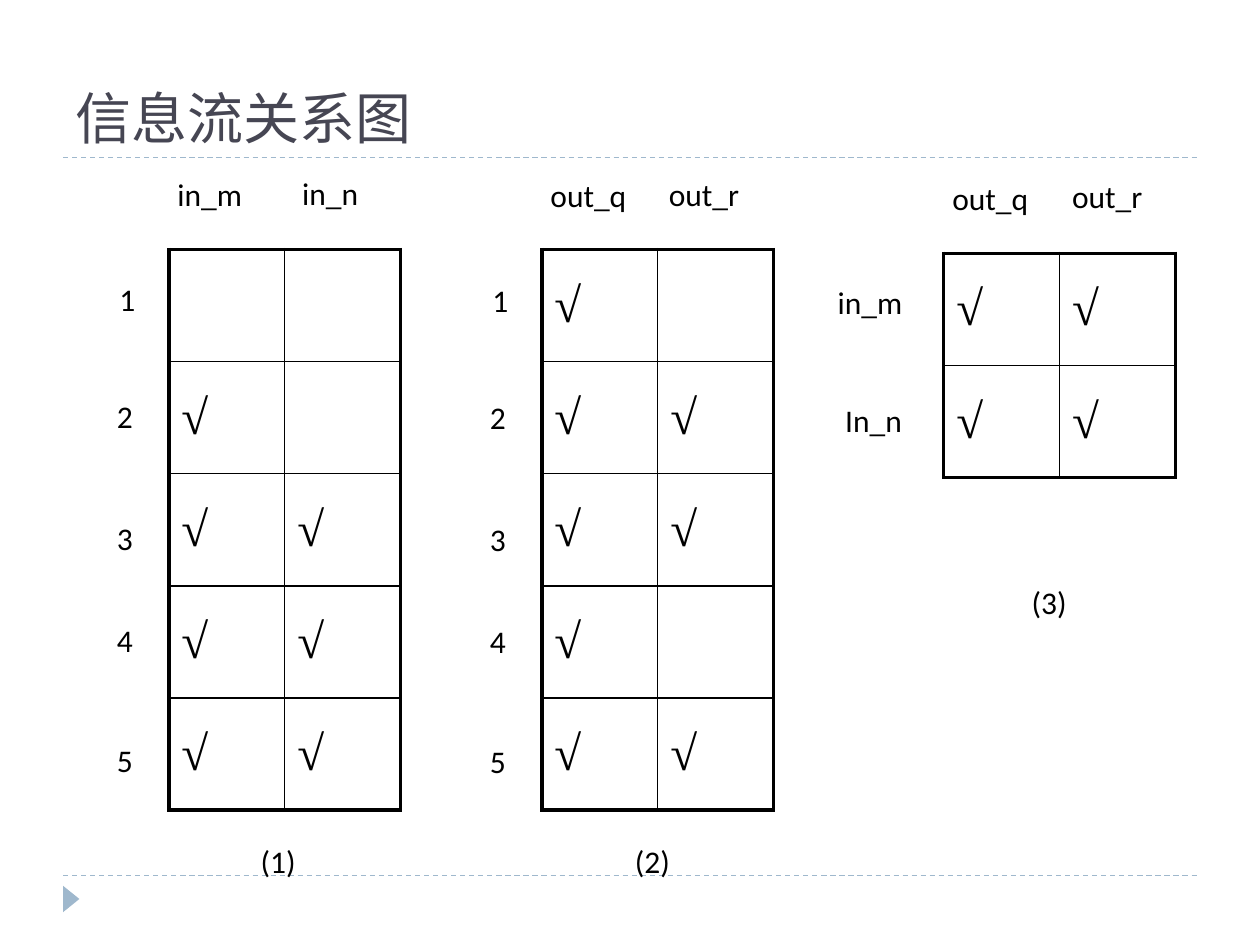
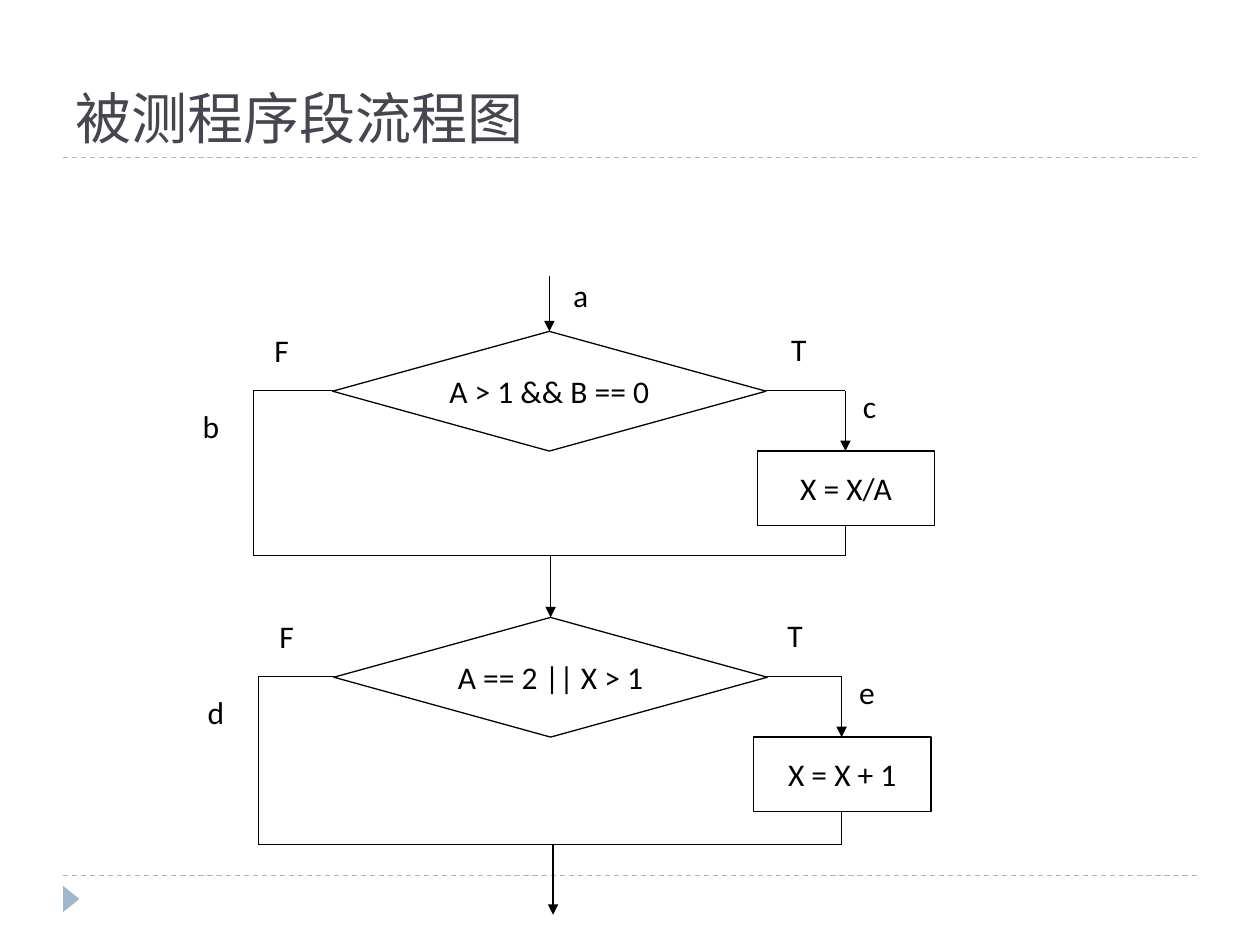
from lxml import etree
from pptx import Presentation
from pptx import util as u
from pptx.dml.color import RGBColor
from pptx.enum import dml, shapes, text
from pptx.oxml import ns

PX = 9144  # 100 px to the inch
COLORS = {"ink": "000000", "title": "464653", "accent": "9FB8CD"}
COLORS = {name: RGBColor.from_string(value) for name, value in COLORS.items()}
BODY_FONT, CJK_FONT = "Calibri", "Noto Sans CJK SC"


def add_label(s, label, x, y, w):
    tf = s.shapes.add_textbox(x * PX, y * PX, w * PX, 50 * PX).text_frame
    tf.word_wrap = True
    tf.text = label
    f = tf.paragraphs[0].runs[0].font
    f.name, f.size, f.color.rgb = BODY_FONT, u.Pt(18), COLORS["ink"]


def add_line(s, x1, y1, x2, y2, color="ink", arrow=False):
    c = s.shapes.add_connector(shapes.MSO_CONNECTOR.STRAIGHT,
                               x1 * PX, y1 * PX, x2 * PX, y2 * PX)
    c.line.color.rgb, c.line.width = COLORS[color], u.Pt(0.75)
    sp_pr = c.element.spPr
    if arrow:
        etree.SubElement(sp_pr.find(ns.qn("a:ln")), ns.qn("a:tailEnd"), type="triangle")
    etree.SubElement(sp_pr, ns.qn("a:effectLst"))
    return c


prs = Presentation()
prs.slide_width, prs.slide_height = 1000 * PX, 750 * PX

# Title position, shared through the layout
layout = prs.slide_layouts[5]
title = layout.placeholders[0]
title.left, title.top, title.width, title.height = 50 * PX, 17 * PX, 900 * PX, 108 * PX
title.text_frame.vertical_anchor = text.MSO_ANCHOR.BOTTOM

# Both slides: rules, corner marker and title
for heading, font in [("信息流关系图", "TeX Gyre Bonum"), ("被测程序段流程图", CJK_FONT)]:
    s = prs.slides.add_slide(layout)
    for y in (695, 125):
        add_line(s, 50, y, 950, y, "accent").line.dash_style = dml.MSO_LINE.DASH
    marker = s.shapes.add_shape(shapes.MSO_SHAPE.ISOSCELES_TRIANGLE,
                                46 * PX, 707 * PX, 21 * PX, 13 * PX)
    marker.rotation = 90
    marker.shadow.inherit = False
    marker.fill.solid()
    marker.fill.fore_color.rgb = COLORS["accent"]
    marker.line.fill.background()
    s.shapes.title.text_frame.text = heading
    p = s.shapes.title.text_frame.paragraphs[0]
    p.alignment = text.PP_ALIGN.LEFT
    r = p.runs[0]
    r.font.name, r.font.size, r.font.color.rgb = font, u.Pt(32), COLORS["title"]
    etree.SubElement(r._r.get_or_add_rPr(), ns.qn("a:ea"), typeface=CJK_FONT)

relations, flowchart = prs.slides

# Slide 1: relation tables, one string of marks per row
COL_W, ROW_H = 92, 89
tables = [
    (134, 198, ["  ", "√ ", "√√", "√√", "√√"]),
    (430, 198, ["√ ", "√√", "√√", "√ ", "√√"]),
    (749, 201, ["√√", "√√"]),
]
for x, y, marks in tables:
    rows = len(marks)
    table = relations.shapes.add_table(rows, 2, x * PX, y * PX,
                                       2 * COL_W * PX, rows * ROW_H * PX).table
    table.first_row = table.horz_banding = False
    for i, row_marks in enumerate(marks):
        for j, mark in enumerate(row_marks):
            cell = table.cell(i, j)
            cell.fill.background()
            cell.vertical_anchor = text.MSO_ANCHOR.MIDDLE
            if mark != " ":
                cell.text_frame.text = mark
                f = cell.text_frame.paragraphs[0].runs[0].font
                f.name, f.size, f.color.rgb = "Times New Roman", u.Pt(28), COLORS["ink"]
            # Thick outer frame, thin inner grid
            tc_pr = cell._tc.get_or_add_tcPr()
            outer = {"lnL": j == 0, "lnR": j == 1, "lnT": i == 0, "lnB": i == rows - 1}
            for n, (side, thick) in enumerate(outer.items()):
                ln = etree.Element(ns.qn(f"a:{side}"), w=str(int(u.Pt(2.25 if thick else 1))))
                fill = etree.SubElement(ln, ns.qn("a:solidFill"))
                etree.SubElement(fill, ns.qn("a:srgbClr"), val=str(COLORS["ink"]))
                tc_pr.insert(n, ln)

# Slide 1: column heads, input rows and captions
table_labels = [
    ("in_m", 131, 134, 92), ("in_n", 230, 133, 92),
    ("out_q", 427, 135, 105), ("out_r", 521, 134, 92),
    ("out_q", 746, 137, 105), ("out_r", 841, 136, 92),
    ("in_m", 655, 220, 98), ("In_n", 661, 313, 82),
    ("(1)", 197, 663, 67), ("(2)", 494, 663, 67), ("(3)", 809, 458, 67),
]
for label, x, y, w in table_labels:
    add_label(relations, label, x, y, w)

# Slide 1: statement numbers beside the first two tables
for x, dy in [(83, 0), (379, 1)]:
    for number, y in enumerate([217, 310, 407, 488, 583], 1):
        add_label(relations, str(number), x + 2 * (number == 1), y + dy, 40)

# Slide 2: entry arrow
add_line(flowchart, 436, 219, 436, 263, arrow=True)
add_label(flowchart, "a", 445, 214, 46)

# Slide 2: two decisions, each with a false and a true branch
DIAMOND_W, DIAMOND_H, BOX_W, BOX_H = 344, 95, 141, 59
decisions = [
    # condition, action, branch names, left, top, false x, true x, join y, exit x, exit y
    ("A > 1 && B == 0", "X = X/A", "bc", 264, 263, 201, 671, 441, 437, 490),
    ("A == 2 || X > 1", "X = X + 1", "de", 265, 490, 205, 668, 670, 439, 726),
]
for condition, action, names, left, top, no_x, yes_x, join_y, exit_x, exit_y in decisions:
    branch_y, box_x, box_y = top + 47, yes_x - 70, top + DIAMOND_H
    nodes = [
        (shapes.MSO_SHAPE.DIAMOND, condition, left, top, DIAMOND_W, DIAMOND_H),
        (shapes.MSO_SHAPE.RECTANGLE, action, box_x, box_y, BOX_W, BOX_H),
    ]
    for kind, label, x, y, w, h in nodes:
        sp = flowchart.shapes.add_shape(kind, x * PX, y * PX, w * PX, h * PX)
        sp.shadow.inherit = False
        sp.fill.background()
        sp.line.color.rgb, sp.line.width = COLORS["ink"], u.Pt(0.75)
        tf = sp.text_frame
        tf.word_wrap = False
        tf.vertical_anchor = text.MSO_ANCHOR.MIDDLE
        tf.text = label
        p = tf.paragraphs[0]
        p.alignment = text.PP_ALIGN.CENTER
        f = p.runs[0].font
        f.name, f.size, f.color.rgb = BODY_FONT, u.Pt(18), COLORS["ink"]

    add_line(flowchart, left, branch_y, no_x, branch_y)
    add_line(flowchart, no_x, branch_y, no_x, join_y)
    add_line(flowchart, left + DIAMOND_W, branch_y, yes_x, branch_y)
    add_line(flowchart, yes_x, branch_y, yes_x, box_y, arrow=True)
    add_line(flowchart, yes_x, box_y + BOX_H, yes_x, join_y)
    add_line(flowchart, no_x, join_y, yes_x, join_y)
    add_line(flowchart, exit_x, join_y, exit_x, exit_y, arrow=True)

    add_label(flowchart, "F", no_x + 7, top - 5, 46)
    add_label(flowchart, names[0], no_x - 50, top + 55, 46)
    add_label(flowchart, "T", yes_x - 53, top - 6, 46)
    add_label(flowchart, names[1], yes_x + 4, top + 39, 46)

prs.save("out.pptx")
